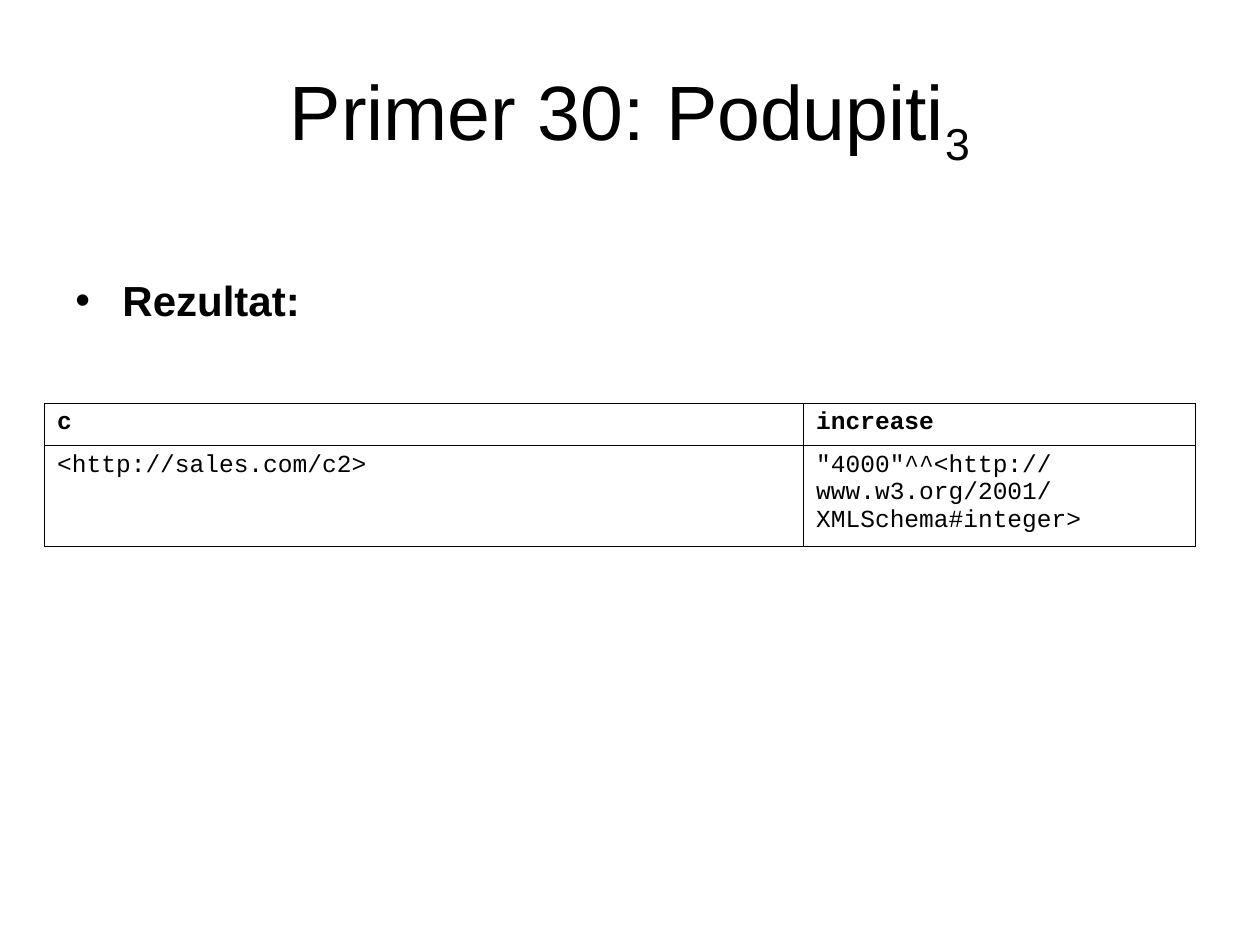
from dataclasses import dataclass

from lxml import etree
from pptx import Presentation
from pptx.dml.color import RGBColor
from pptx.enum.text import MSO_ANCHOR, PP_ALIGN
from pptx.oxml.ns import qn
from pptx.util import Cm, Pt

LEFT, CENTER = PP_ALIGN.LEFT, PP_ALIGN.CENTER
TOP, MIDDLE = MSO_ANCHOR.TOP, MSO_ANCHOR.MIDDLE
BLANK_LAYOUT = 6


@dataclass(frozen=True)
class Theme:
    ink: str = "000000"
    body_font: str = "Arial"
    code_font: str = "Courier New"
    title_size: float = 44
    body_size: float = 24
    code_size: float = 14
    border_width: float = 0.45


THEME = Theme()


def add_text(para, text, font=THEME.body_font, size=THEME.body_size,
             bold=False, baseline=None):
    span = para.add_run()
    span.text = text
    span.font.name = font
    span.font.size = Pt(size)
    span.font.bold = bold
    span.font.color.rgb = RGBColor.from_string(THEME.ink)
    if baseline is not None:
        span.font._element.set("baseline", str(baseline * 1000))


def add_box(page, left, top, width, height, anchor=TOP, align=LEFT):
    box = page.shapes.add_textbox(Cm(left), Cm(top), Cm(width), Cm(height))
    frame = box.text_frame
    frame.word_wrap = True
    frame.vertical_anchor = anchor
    para = frame.paragraphs[0]
    para.alignment = align
    return para


def add_bullet(para, indent):
    properties = para._p.get_or_add_pPr()
    properties.set("marL", str(Cm(indent)))
    properties.set("indent", str(-Cm(indent)))
    color = etree.SubElement(properties, qn("a:buClr"))
    etree.SubElement(color, qn("a:srgbClr"), val=THEME.ink)
    etree.SubElement(properties, qn("a:buFont"), typeface=THEME.body_font)
    etree.SubElement(properties, qn("a:buChar"), char="•")


def set_borders(cell):
    properties = cell._tc.get_or_add_tcPr()
    for side in ("lnL", "lnR", "lnT", "lnB"):
        line = etree.SubElement(properties, qn(f"a:{side}"),
                                w=str(Pt(THEME.border_width)))
        fill = etree.SubElement(line, qn("a:solidFill"))
        etree.SubElement(fill, qn("a:srgbClr"), val=THEME.ink)


def add_result_table(page, left, top, widths, heights, rows):
    frame = page.shapes.add_table(len(rows), len(widths), Cm(left), Cm(top),
                                  Cm(sum(widths)), Cm(sum(heights)))
    table = frame.table
    table.horz_banding = False
    for column, width in zip(table.columns, widths):
        column.width = Cm(width)
    for row, height in zip(table.rows, heights):
        row.height = Cm(height)
    for row_index, texts in enumerate(rows):
        for column_index, text in enumerate(texts):
            cell = table.cell(row_index, column_index)
            set_borders(cell)
            cell.fill.background()
            para = cell.text_frame.paragraphs[0]
            para.space_before = Pt(3.5)
            add_text(para, text, font=THEME.code_font, size=THEME.code_size,
                     bold=row_index == 0)


def main():
    deck = Presentation()
    deck.slide_width, deck.slide_height = Cm(25.4), Cm(19.05)
    page = deck.slides.add_slide(deck.slide_layouts[BLANK_LAYOUT])

    title = add_box(page, 1.27, 0.76, 22.86, 3.18, anchor=MIDDLE, align=CENTER)
    add_text(title, "Primer 30: Podupiti", size=THEME.title_size)
    add_text(title, "3", size=THEME.title_size, baseline=-25)

    result = add_box(page, 1.27, 5.41, 22.86, 13.64)
    add_bullet(result, 0.95)
    add_text(result, "Rezultat:", bold=True)

    add_result_table(page, 0.9, 8.13, widths=(15.3, 7.9), heights=(0.85, 2.03), rows=(
        ("c", "increase"),
        ("<http://sales.com/c2>",
         '"4000"^^<http://www.w3.org/2001/XMLSchema#integer>'),
    ))
    deck.save("out.pptx")


if __name__ == "__main__":
    main()
